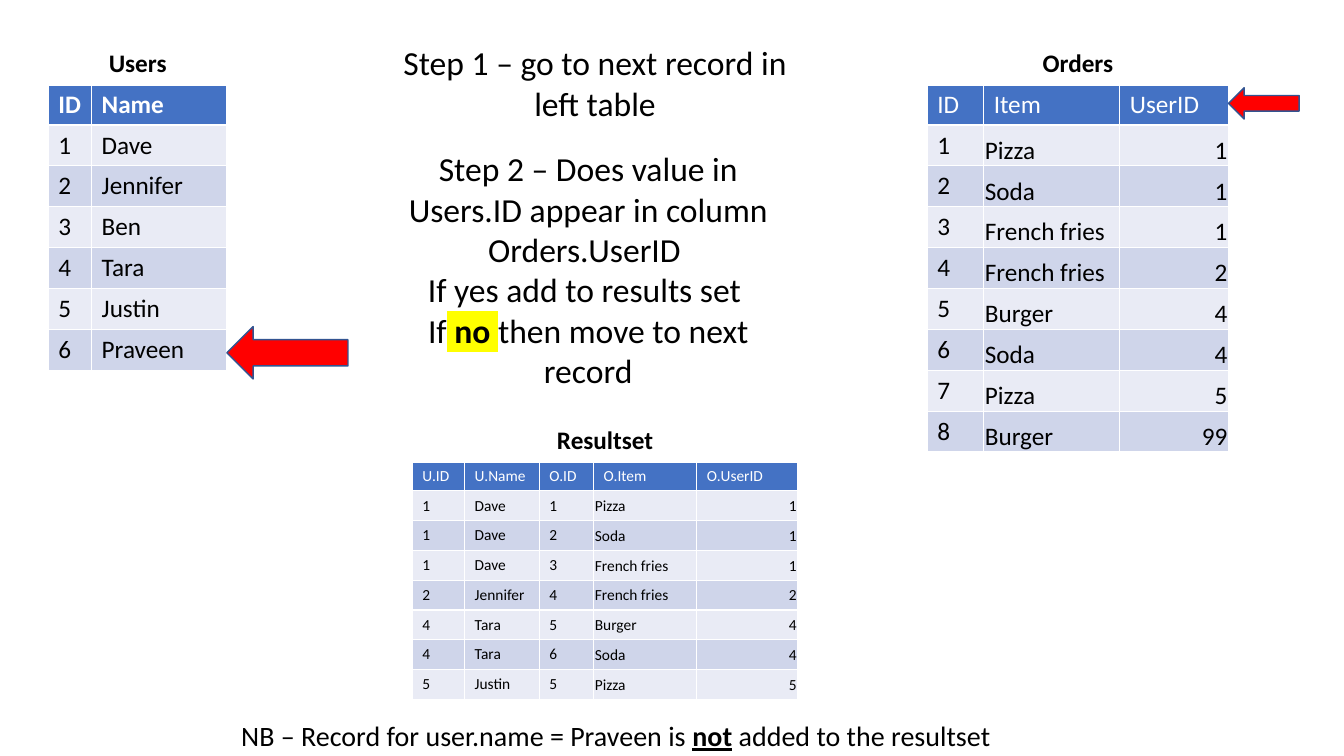
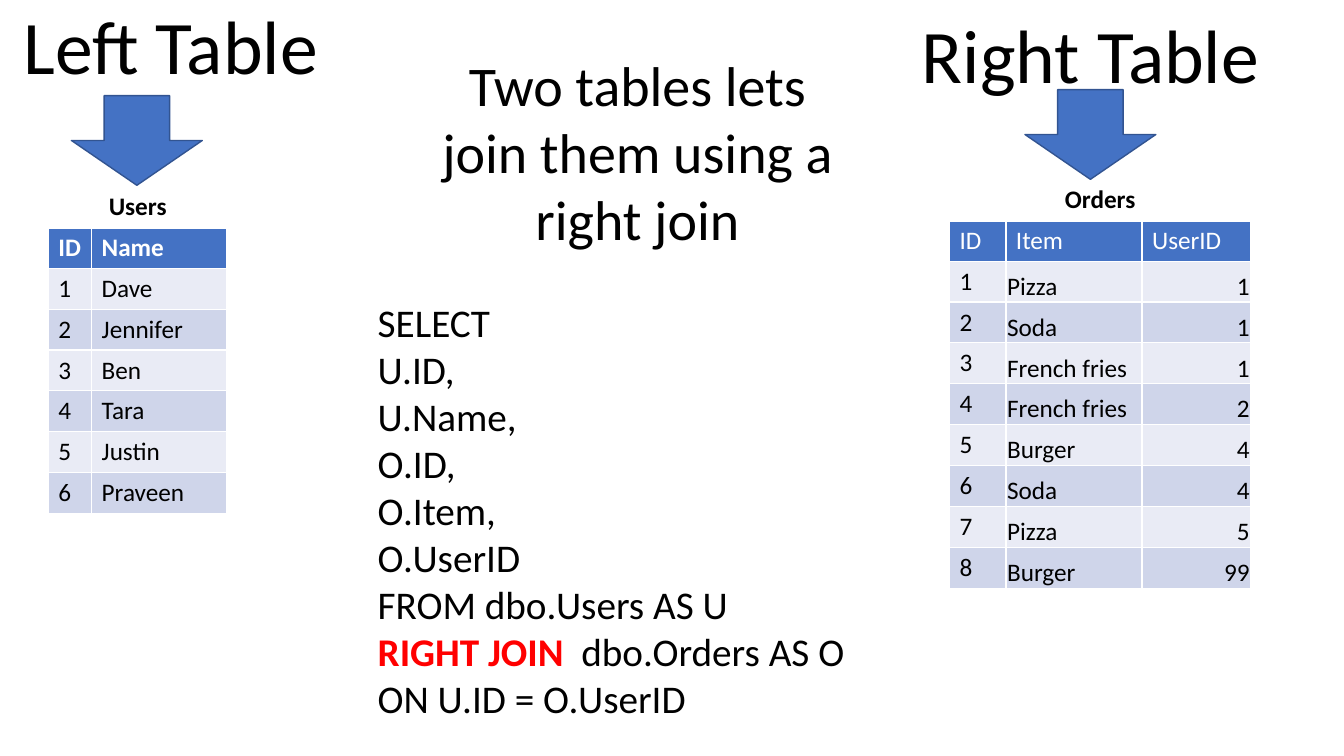
"""Build two slides that explain a SQL join between Users and Orders."""
from lxml import etree
from pptx import Presentation
from pptx.dml.color import RGBColor
from pptx.enum.shapes import MSO_SHAPE
from pptx.enum.text import MSO_ANCHOR, MSO_AUTO_SIZE, PP_ALIGN
from pptx.oxml.ns import qn
from pptx.util import Cm, Pt

LEFT, CENTER, RIGHT = PP_ALIGN.LEFT, PP_ALIGN.CENTER, PP_ALIGN.RIGHT
TOP, MIDDLE, BOTTOM = MSO_ANCHOR.TOP, MSO_ANCHOR.MIDDLE, MSO_ANCHOR.BOTTOM
LEFT_ARROW, DOWN_ARROW = MSO_SHAPE.LEFT_ARROW, MSO_SHAPE.DOWN_ARROW
FIT_SHAPE = MSO_AUTO_SIZE.SHAPE_TO_FIT_TEXT

FONT = "Calibri"
BLACK, WHITE, RED, YELLOW = "000000", "FFFFFF", "FF0000", "FFFF00"
BLUE, OUTLINE = "4472C4", "325491"
BANDS = ["E9EBF5", "CFD5EA"]
TITLE_HEIGHT = 1.03


def color(hex_value):
    """Turn a hex string into a colour."""
    return RGBColor.from_string(hex_value)


def write(paragraph, runs, alignment, size):
    """Fill a paragraph with (text, format) runs."""
    paragraph.alignment = alignment
    for text, overrides in runs:
        values = {"name": FONT, "size": Pt(size), "bold": False, **overrides}
        text_color = values.pop("color", BLACK)
        highlight = values.pop("highlight", None)
        run = paragraph.add_run()
        run.text = text
        for attribute, value in values.items():
            setattr(run.font, attribute, value)
        run.font.color.rgb = color(text_color)
        if highlight:
            mark = etree.Element(qn("a:highlight"))
            etree.SubElement(mark, qn("a:srgbClr"), val=highlight)
            run._r.get_or_add_rPr().find(qn("a:solidFill")).addnext(mark)


presentation = Presentation()
presentation.slide_width = Cm(33.87)
presentation.slide_height = Cm(19.05)
steps_slide, query_slide = [
    presentation.slides.add_slide(presentation.slide_layouts[6]) for _ in range(2)
]

users = {
    "title": "Users",
    "widths": [1.09, 3.41],
    "row_height": 1.03,
    "size": 18,
    "header_bold": True,
    "anchor": TOP,
    "tight_anchor": TOP,
    "tight_from": 2,
    "rows": [
        ["ID", "Name"],
        ["1", "Dave"],
        ["2", "Jennifer"],
        ["3", "Ben"],
        ["4", "Tara"],
        ["5", "Justin"],
        ["6", "Praveen"],
    ],
}
orders = {
    "title": "Orders",
    "widths": [1.42, 3.43, 2.74],
    "row_height": 1.03,
    "size": 18,
    "header_bold": False,
    "anchor": TOP,
    "tight_anchor": BOTTOM,
    "tight_from": 1,
    "rows": [
        ["ID", "Item", "UserID"],
        ["1", "Pizza", "1"],
        ["2", "Soda", "1"],
        ["3", "French fries", "1"],
        ["4", "French fries", "2"],
        ["5", "Burger", "4"],
        ["6", "Soda", "4"],
        ["7", "Pizza", "5"],
        ["8", "Burger", "99"],
    ],
}
resultset = {
    "title": "Resultset",
    "widths": [1.32, 1.88, 1.37, 2.6, 2.55],
    "row_height": 0.75,
    "size": 11,
    "header_bold": False,
    "anchor": MIDDLE,
    "tight_anchor": MIDDLE,
    "tight_from": 3,
    "rows": [
        ["U.ID", "U.Name", "O.ID", "O.Item", "O.UserID"],
        ["1", "Dave", "1", "Pizza", "1"],
        ["1", "Dave", "2", "Soda", "1"],
        ["1", "Dave", "3", "French fries", "1"],
        ["2", "Jennifer", "4", "French fries", "2"],
        ["4", "Tara", "5", "Burger", "4"],
        ["4", "Tara", "6", "Soda", "4"],
        ["5", "Justin", "5", "Pizza", "5"],
    ],
}

table_places = [
    (steps_slide, users, 1.22, 1.09),
    (steps_slide, orders, 23.37, 1.09),
    (steps_slide, resultset, 10.39, 10.59),
    (query_slide, users, 1.22, 4.7),
    (query_slide, orders, 23.93, 4.52),
]
for slide, content, left, top in table_places:
    widths, rows = content["widths"], content["rows"]
    heights = [TITLE_HEIGHT] + [content["row_height"]] * len(rows)
    table = slide.shapes.add_table(
        len(heights), len(widths), Cm(left), Cm(top), Cm(sum(widths)), Cm(sum(heights))
    ).table
    for column, width in zip(table.columns, widths):
        column.width = Cm(width)
    for row, height in zip(table.rows, heights):
        row.height = Cm(height)
    table.cell(0, 0).merge(table.cell(0, len(widths) - 1))

    grid = [[content["title"]] + [""] * (len(widths) - 1)] + rows
    for row_index, texts in enumerate(grid):
        for column_index, text in enumerate(texts):
            cell = table.cell(row_index, column_index)
            alignment, size, anchor = LEFT, content["size"], content["anchor"]
            fill, text_format = BANDS[row_index % 2], {}
            if row_index == 0:
                alignment, size, anchor = CENTER, 18, TOP
                fill, text_format = WHITE, {"bold": True}
            elif row_index == 1:
                fill = BLUE
                text_format = {"bold": content["header_bold"], "color": WHITE}
            elif column_index >= content["tight_from"]:
                anchor = content["tight_anchor"]
                cell.margin_left = cell.margin_right = cell.margin_top = Cm(0.03)
                cell.margin_bottom = Cm(0)
                if column_index == len(widths) - 1:
                    alignment = RIGHT
            cell.vertical_anchor = anchor

            cell_properties = cell._tc.get_or_add_tcPr()
            for side in ["lnL", "lnR", "lnT", "lnB"]:
                thick = (row_index, side) in [(0, "lnB"), (1, "lnT")]
                border = etree.SubElement(
                    cell_properties, qn(f"a:{side}"), w=str(Pt(3 if thick else 1))
                )
                border_fill = etree.SubElement(border, qn("a:solidFill"))
                etree.SubElement(border_fill, qn("a:srgbClr"), val=WHITE)
            cell.fill.solid()
            cell.fill.fore_color.rgb = color(fill)
            if text:
                write(cell.text_frame.paragraphs[0], [(text, text_format)], alignment, size)

step_one = [[("Step 1 – go to next record in left table", {})]]
step_two = [
    [("Step 2 – Does value in Users.ID appear in column", {})],
    [("Orders.UserID ", {})],
    [("If yes add to results set ", {})],
    [
        ("If", {}),
        (" ", {"highlight": YELLOW}),
        ("no", {"highlight": YELLOW, "bold": True}),
        (" ", {"highlight": YELLOW}),
        ("then move to next record", {}),
    ],
]
note = [[
    ("NB – Record for user.name = Praveen is ", {}),
    ("not", {"bold": True, "underline": True}),
    (" added to the resultset", {}),
]]
introduction = [[("Two tables lets join them using a right join", {})]]
select_lines = ["SELECT", "U.ID,", "U.Name,", "O.ID,", "O.Item,", "O.UserID", "FROM dbo.Users AS U"]
query = [[(line, {})] for line in select_lines] + [
    [("RIGHT JOIN  ", {"color": RED, "bold": True}), ("dbo.Orders AS O", {})],
    [("ON U.ID = O.UserID", {})],
]

text_boxes = [
    (steps_slide, step_one, (9.7, 0.94, 10.59, 2.31), 24, CENTER, True),
    (steps_slide, step_two, (9.53, 3.61, 10.59, 6.4), 24, CENTER, True),
    (steps_slide, note, (5.74, 17.98, 19.56, 1.12), 20, CENTER, False),
    (query_slide, introduction, (10.77, 1.14, 10.59, 5.38), 40, CENTER, True),
    (query_slide, query, (9.27, 7.39, 12.52, 11.02), 28, LEFT, True),
    (query_slide, [[("Left Table", {})]], (0.28, -0.15, 8.05, 2.57), 54, CENTER, False),
    (query_slide, [[("Right Table", {})]], (22.94, 0.08, 9.09, 2.57), 54, CENTER, False),
]
for slide, paragraphs, box, size, alignment, wrap in text_boxes:
    text_frame = slide.shapes.add_textbox(*map(Cm, box)).text_frame
    text_frame.word_wrap = wrap
    text_frame.auto_size = FIT_SHAPE
    for index, runs in enumerate(paragraphs):
        paragraph = text_frame.add_paragraph() if index else text_frame.paragraphs[0]
        write(paragraph, runs, alignment, size)

arrows = [
    (steps_slide, LEFT_ARROW, (5.72, 8.23, 3.05, 1.32), RED),
    (steps_slide, LEFT_ARROW, (30.96, 2.21, 1.78, 0.79), RED),
    (query_slide, DOWN_ARROW, (1.8, 2.41, 3.3, 2.26), BLUE),
    (query_slide, DOWN_ARROW, (25.83, 2.26, 3.3, 2.26), BLUE),
]
for slide, kind, box, fill in arrows:
    shape = slide.shapes.add_shape(kind, *map(Cm, box))
    shape.shadow.inherit = False
    shape.fill.solid()
    shape.fill.fore_color.rgb = color(fill)
    shape.line.color.rgb = color(OUTLINE)
    shape.line.width = Pt(1)

presentation.save("out.pptx")
